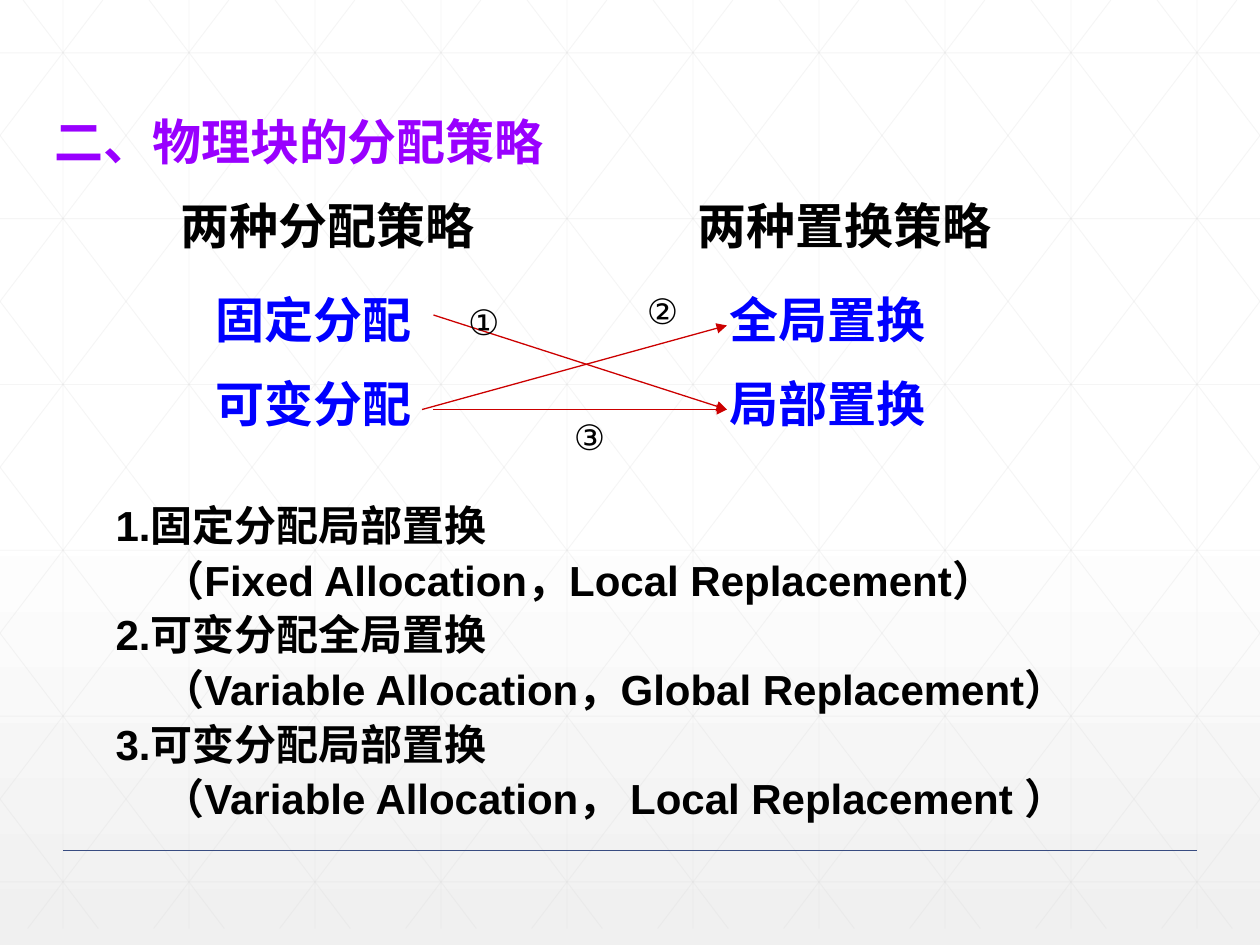
from dataclasses import dataclass

from lxml.etree import SubElement
from pptx import Presentation
from pptx.dml.color import RGBColor
from pptx.enum.shapes import MSO_CONNECTOR
from pptx.enum.text import PP_ALIGN
from pptx.oxml.ns import qn
from pptx.util import Pt

WIDE, HIGH = 720, 540
FOOT = 530.6  # lower end of the grid
BLACK, BLUE, PURPLE, RED = "000000", "0000FF", "9900FF", "CC0000"


@dataclass
class Line:
    x1: float
    y1: float
    x2: float
    y2: float
    hue: str = "D9D9D9"
    width: float = 0.5
    alpha: int = 100
    arrow: bool = False


@dataclass
class Label:
    x: float
    y: float
    w: float
    h: float
    rows: list[str]
    size: float = 28
    hue: str = BLACK
    bold: bool = True
    mid: bool = False
    wrap: bool = True
    gap: float = 0
    inset: float = 0  # indent of every second row


def tint(target, code: str) -> None:
    target.rgb = RGBColor.from_string(code)


def draw_line(slide, line: Line) -> None:
    item = slide.shapes.add_connector(
        MSO_CONNECTOR.STRAIGHT, Pt(line.x1), Pt(line.y1), Pt(line.x2), Pt(line.y2))
    item.line.width = Pt(line.width)
    tint(item.line.color, line.hue)
    props = item._element.spPr
    if line.alpha < 100:
        shade = props.find(".//" + qn("a:srgbClr"))
        SubElement(shade, qn("a:alpha"), val=str(line.alpha * 1000))
    if line.arrow:
        SubElement(props.find(qn("a:ln")), qn("a:tailEnd"), type="triangle")
    SubElement(props, qn("a:effectLst"))


def draw_label(slide, label: Label) -> None:
    box = slide.shapes.add_textbox(Pt(label.x), Pt(label.y), Pt(label.w), Pt(label.h))
    frame = box.text_frame
    frame.word_wrap = label.wrap
    for i, row in enumerate(label.rows):
        para = frame.paragraphs[0] if i == 0 else frame.add_paragraph()
        para.text = row
        para.alignment = PP_ALIGN.CENTER if label.mid else PP_ALIGN.LEFT
        if i and label.gap:
            para.space_before = Pt(label.gap)
        if i % 2 and label.inset:
            para._p.get_or_add_pPr().set("marL", str(Pt(label.inset)))
        font = para.font
        font.name, font.size, font.bold = "Arial", Pt(label.size), label.bold
        tint(font.color, label.hue)


def draw_back(slide) -> None:
    fill = slide.background.fill
    fill.gradient()
    fill.gradient_angle = 270
    for stop, place, code in zip(fill.gradient_stops, (0.53, 1), ("FFFFFF", "F0F0F0")):
        stop.position = place
        tint(stop.color, code)


def draw_grid(slide) -> None:
    lines = [(36 + 72 * i, 0, 36 + 72 * i, FOOT) for i in range(10)]
    lines += [(0, 30.2 + 94.75 * i, WIDE, 30.2 + 94.75 * i) for i in range(6)]
    # Slanted lines, cut at the slide's sides and mirrored
    run = 403
    for i in range(-5, 10):
        top = 13.2 + 72 * i
        left, right = max(top, 0), min(top + run, WIDE)
        y1, y2 = ((x - top) * FOOT / run for x in (left, right))
        lines += [(left, y1, right, y2), (WIDE - left, y1, WIDE - right, y2)]
    for ends in lines:
        draw_line(slide, Line(*ends, alpha=25))


def main() -> None:
    deck = Presentation()
    deck.slide_width, deck.slide_height = Pt(WIDE), Pt(HIGH)
    slide = deck.slides.add_slide(deck.slide_layouts[6])

    # Backdrop and footer rule
    draw_back(slide)
    draw_grid(slide)
    draw_line(slide, Line(36, 486, 684, 486, "384C81", 1))

    # Title, headings and the two pairs of policies
    pair = dict(hue=BLUE, mid=True, wrap=False, gap=14)
    for label in (
        Label(24, 60, 680, 41, ["二、物理块的分配策略"], hue=PURPLE),
        Label(90.7, 108, 193, 41, ["两种分配策略"], mid=True),
        Label(391.7, 108, 193, 41, ["两种置换策略"]),
        Label(116, 162, 126.7, 91.4, ["固定分配", "可变分配"], **pair),
        Label(409.7, 162, 126.7, 91.4, ["全局置换", "局部置换"], **pair),
    ):
        draw_label(slide, label)

    # Numbered arrows from allocation to replacement
    for ends, mark, x, y in (
        ((247.7, 180, 415.4, 234), "①", 259.2, 168),
        ((241.2, 234, 415.4, 186), "②", 361.4, 162),
        ((247.7, 234, 415.4, 234), "③", 319.7, 234),
    ):
        draw_line(slide, Line(*ends, RED, 0.75, arrow=True))
        draw_label(slide, Label(x, y, 34.6, 31, [mark], 20, bold=False, mid=True, wrap=False))

    # Combined policies
    draw_label(slide, Label(59, 282, 602, 196.6, [
        "1.固定分配局部置换",
        "（Fixed Allocation，Local Replacement）",
        "2.可变分配全局置换",
        "（Variable Allocation，Global Replacement）",
        "3.可变分配局部置换",
        "（Variable Allocation， Local Replacement ）",
    ], 24, gap=2.4, inset=26.7))

    deck.save("out.pptx")


if __name__ == "__main__":
    main()
